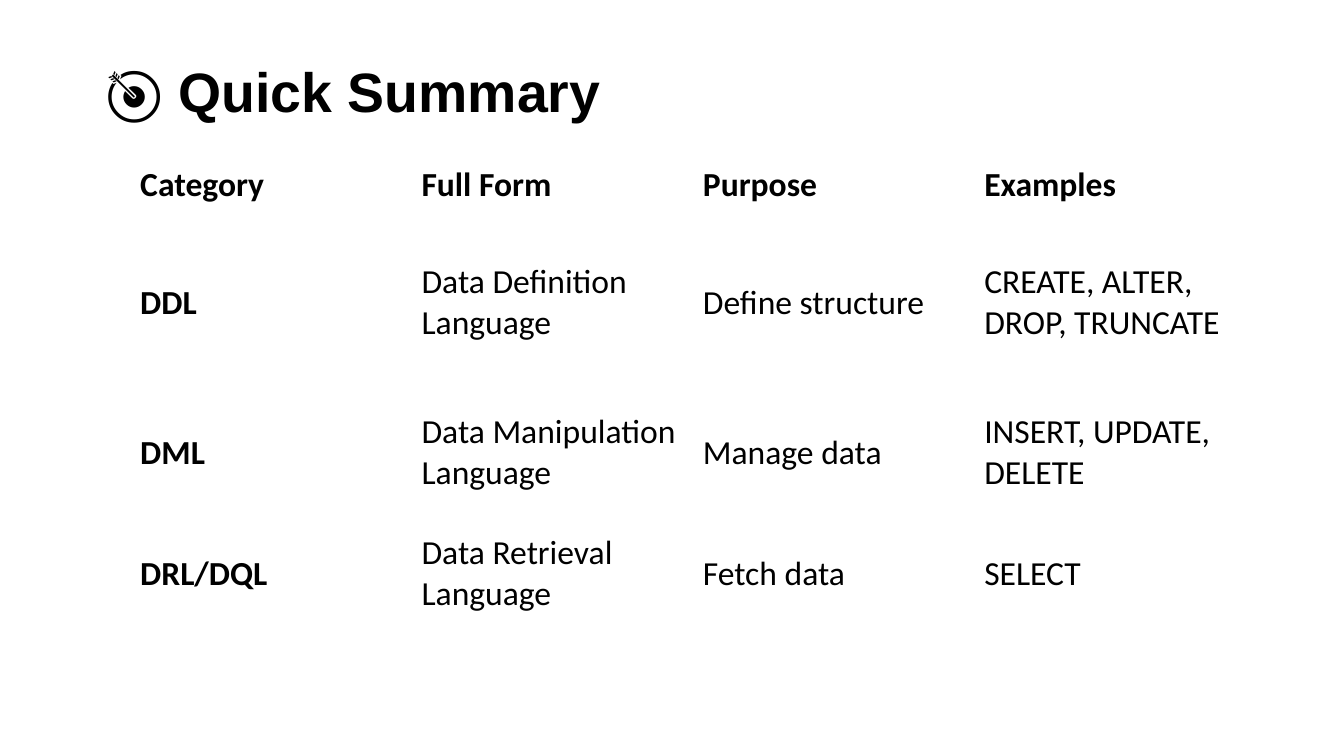
import pptx
import pptx.dml.color
import pptx.enum.text
import pptx.util

Cm, Pt = pptx.util.Cm, pptx.util.Pt

HEADING = "🎯 Quick Summary"
SUMMARY = [
    ("Category", "Full Form", "Purpose", "Examples"),
    ("DDL", "Data Definition Language", "Define structure", "CREATE, ALTER, DROP, TRUNCATE"),
    ("DML", "Data Manipulation Language", "Manage data", "INSERT, UPDATE, DELETE"),
    ("DRL/DQL", "Data Retrieval Language", "Fetch data", "SELECT"),
]
ROW_HEIGHTS = [2.16, 3.78, 3.78, 2.16]
COLUMN_WIDTH = 7.09
COLORS = {"text": "000000"}


def write(frame, text, font_name, size, bold):
    paragraph = frame.paragraphs[0]
    paragraph.alignment = pptx.enum.text.PP_ALIGN.LEFT
    run = paragraph.add_run()
    run.text = text
    run.font.name = font_name
    run.font.size = Pt(size)
    run.font.bold = bold
    run.font.color.rgb = pptx.dml.color.RGBColor.from_string(COLORS["text"])


def add_heading(slide):
    heading = slide.shapes.title
    heading.left, heading.top = Cm(2.44), Cm(1)
    heading.width, heading.height = Cm(29.21), Cm(2.54)
    heading.text_frame.vertical_anchor = pptx.enum.text.MSO_ANCHOR.MIDDLE
    write(heading.text_frame, HEADING, "Arial", 39.6, True)


def add_summary(slide):
    column_count = len(SUMMARY[0])
    summary = slide.shapes.add_table(
        len(SUMMARY), column_count, Cm(3.28), Cm(3.58),
        Cm(COLUMN_WIDTH * column_count), Cm(sum(ROW_HEIGHTS)),
    ).table
    summary.first_row = summary.horz_banding = False
    for column in summary.columns:
        column.width = Cm(COLUMN_WIDTH)
    for r, (height, entries) in enumerate(zip(ROW_HEIGHTS, SUMMARY)):
        summary.rows[r].height = Cm(height)
        for c, entry in enumerate(entries):
            cell = summary.cell(r, c)
            cell.fill.background()
            cell.vertical_anchor = pptx.enum.text.MSO_ANCHOR.MIDDLE
            write(cell.text_frame, entry, "Calibri", 24, r == 0 or c == 0)


def main():
    deck = pptx.Presentation()
    deck.slide_width, deck.slide_height = Cm(33.87), Cm(19.05)
    slide = deck.slides.add_slide(deck.slide_layouts[5])
    add_heading(slide)
    add_summary(slide)
    deck.save("out.pptx")


if __name__ == "__main__":
    main()
